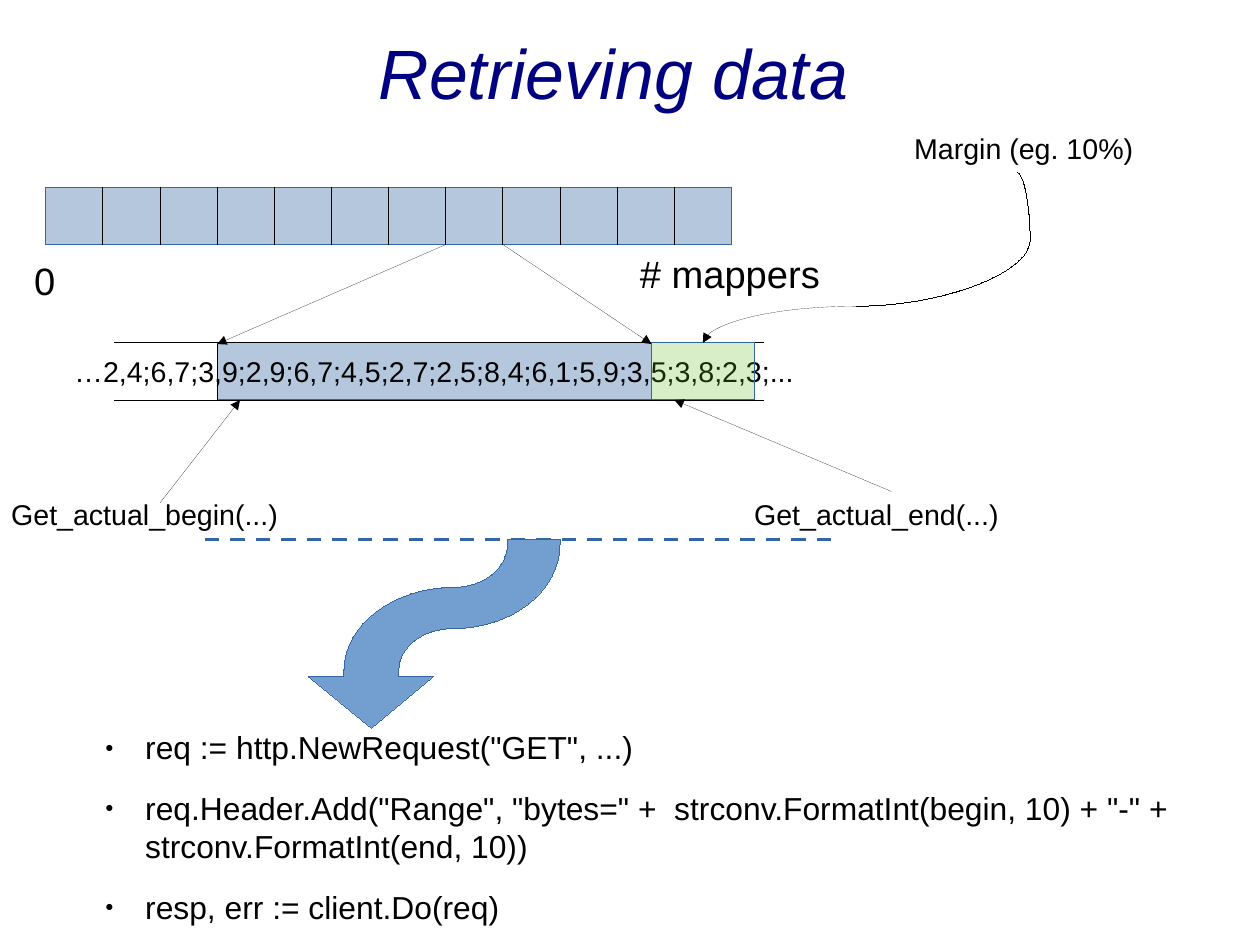
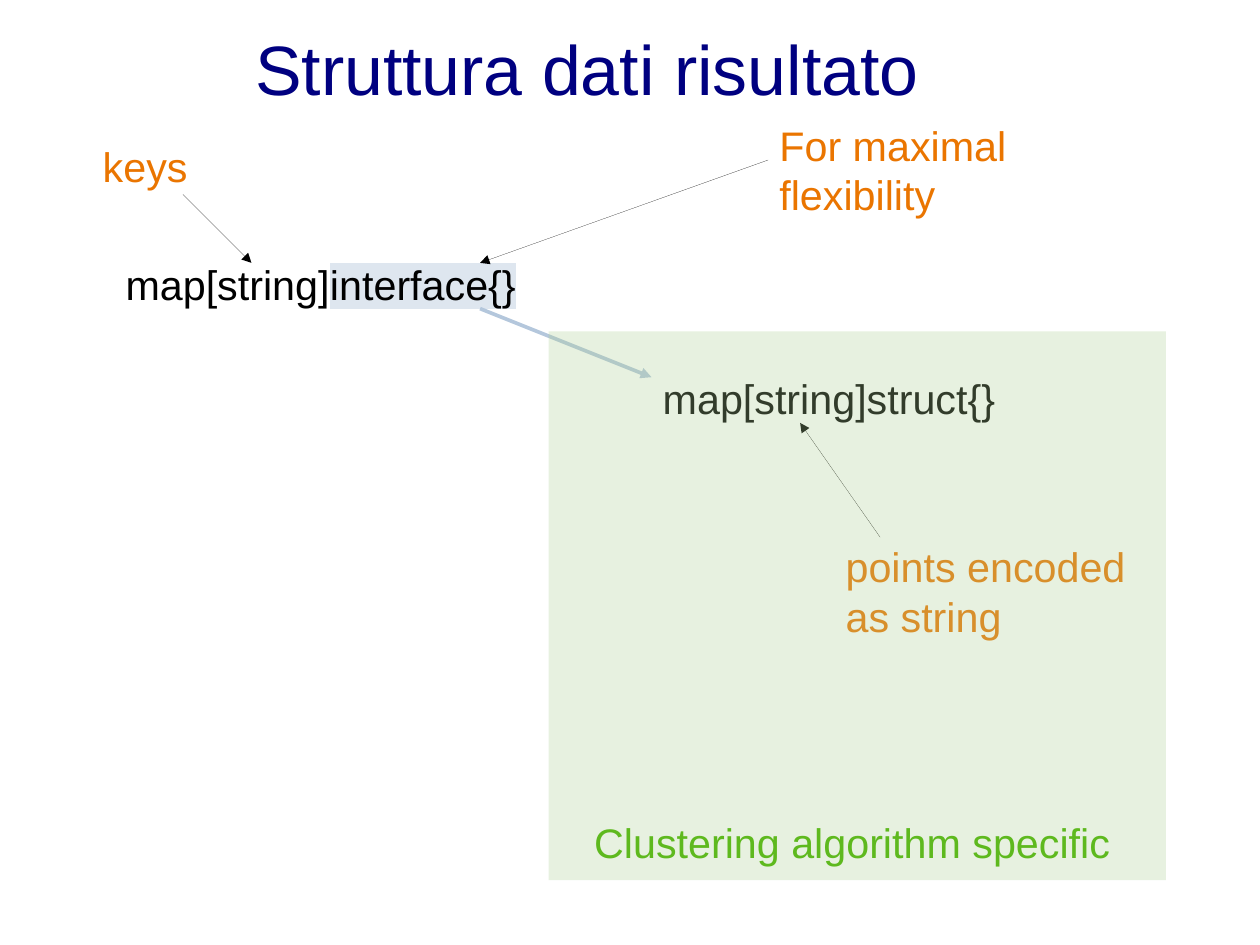
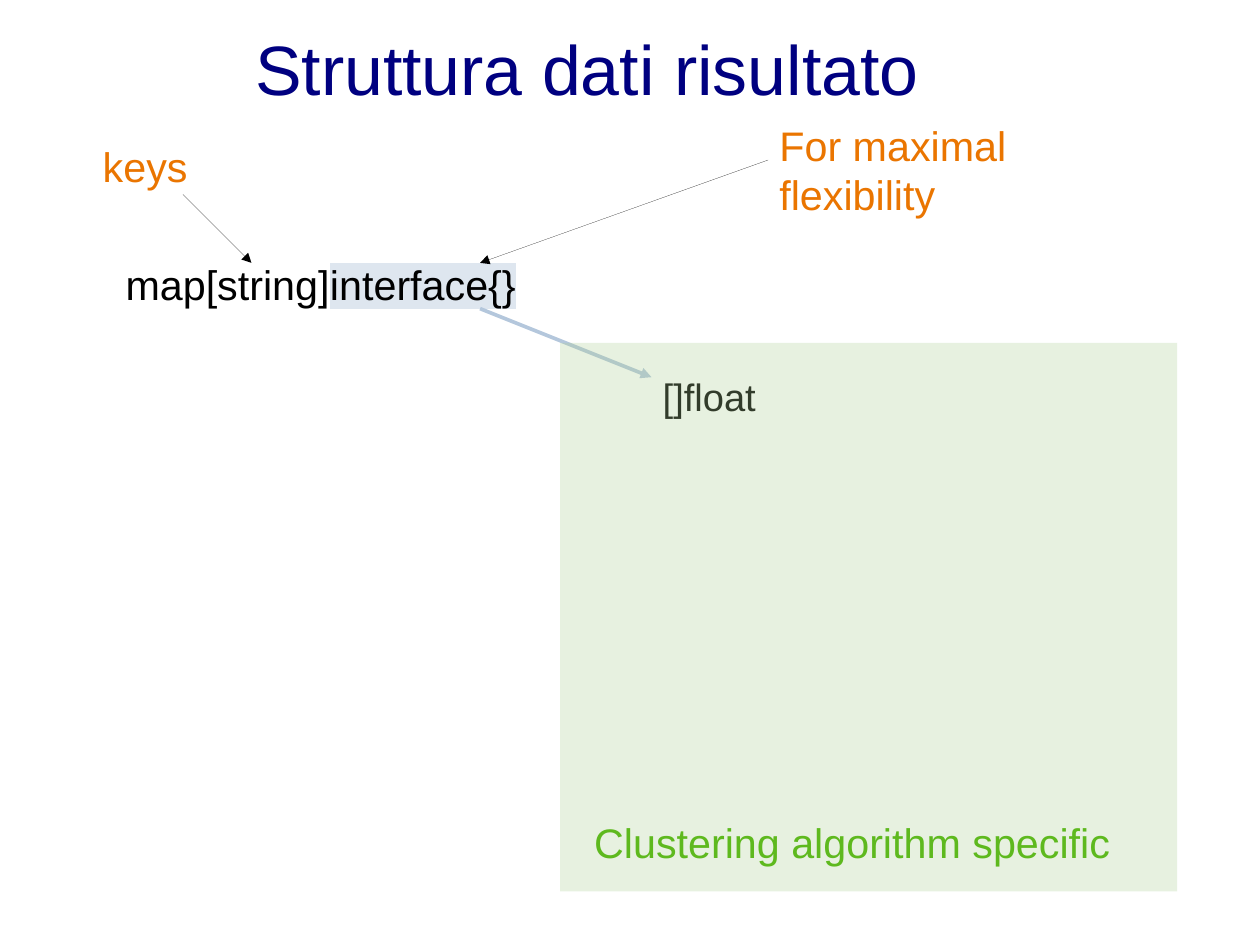
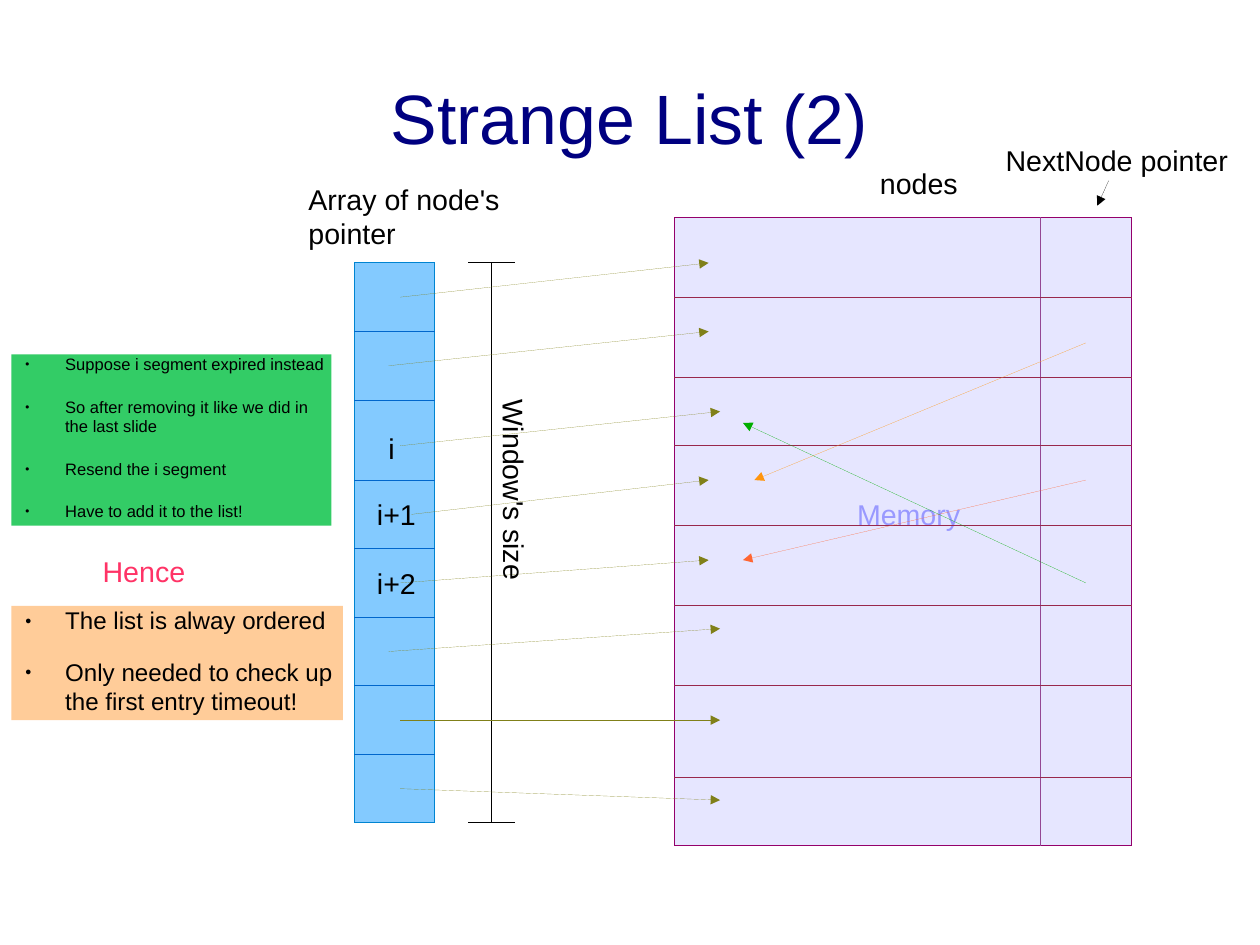
"""Build four slides on data retrieval, result structures and a linked list."""
from dataclasses import dataclass
from typing import Any, Optional

from lxml import etree
from pptx import Presentation
from pptx import util as u
from pptx.dml.color import RGBColor
from pptx.enum import dml, shapes, text
from pptx.oxml import ns

FONT = "Arial"
BLACK, NAVY, ORANGE, GREEN = "000000", "000080", "EA7500", "5EB91E"
PALE_BLUE, STEEL, HIGHLIGHT = "B4C7DC", "3465A4", "DEE6EF"
OLIVE, ROW_LINE = "808019", "99284C"


@dataclass(frozen=True)
class Box:
    """A rectangle in inches."""

    left: float
    top: float
    width: float
    height: float

    def lengths(self) -> tuple:
        """Return the four values as lengths."""
        return tuple(u.Inches(v) for v in (self.left, self.top, self.width, self.height))


@dataclass(frozen=True)
class Label:
    """A text box with its format."""

    words: str
    box: Box
    size: float = 18
    color: str = BLACK
    rotation: float = 0


@dataclass(frozen=True)
class Stroke:
    """A connector from one point to another."""

    x1: float
    y1: float
    x2: float
    y2: float
    color: str = BLACK
    width: float = 0
    arrow: bool = False
    dashed: bool = False
    curve: Optional[str] = None
    bend: Optional[int] = None


def rgb(value: str) -> RGBColor:
    """Turn a hex string into a colour."""
    return RGBColor.from_string(value)


def child(parent: Any, tag: str, **attributes: str) -> Any:
    """Append a DrawingML element."""
    return etree.SubElement(parent, ns.qn(f"a:{tag}"), attributes)


def write(paragraph: Any, words: str, *, size: float = 18, color: str = BLACK,
          italic: Optional[bool] = None, highlight: Optional[str] = None) -> None:
    """Add a formatted run to a paragraph."""
    run = paragraph.add_run()
    run.text = words
    run.font.size = u.Pt(size)
    run.font.italic = italic
    run.font.color.rgb = rgb(color)
    if highlight:
        child(child(run.font._element, "highlight"), "srgbClr", val=highlight)
    run.font.name = FONT


def place(shape: Any, box: Box) -> None:
    """Move and size a shape."""
    shape.left, shape.top, shape.width, shape.height = box.lengths()


def clear_margins(frame: Any) -> None:
    """Remove the insets and fitting of a text frame."""
    frame.margin_left = frame.margin_right = frame.margin_top = frame.margin_bottom = 0
    frame.auto_size = text.MSO_AUTO_SIZE.NONE
    frame.word_wrap = True


def add_slide(presentation: Any, layout: int, title: str, left: float, top: float,
              italic: Optional[bool] = None) -> Any:
    """Add a slide with the shared title style."""
    slide = presentation.slides.add_slide(presentation.slide_layouts[layout])
    place(slide.shapes.title, Box(left, top, 9.92, 1.38))
    frame = slide.shapes.title.text_frame
    clear_margins(frame)
    frame.vertical_anchor = text.MSO_ANCHOR.MIDDLE
    frame.paragraphs[0].alignment = text.PP_ALIGN.CENTER
    write(frame.paragraphs[0], title, size=44, color=NAVY, italic=italic)
    return slide


def fill_list(shape: Any, box: Box, items: list[str], size: float,
              color: Optional[str] = None) -> None:
    """Fill a body placeholder with a bulleted list."""
    place(shape, box)
    if color:
        shape.fill.solid()
        shape.fill.fore_color.rgb = rgb(color)
    frame = shape.text_frame
    clear_margins(frame)
    frame.vertical_anchor = text.MSO_ANCHOR.TOP
    for index, item in enumerate(items):
        paragraph = frame.add_paragraph() if index else frame.paragraphs[0]
        paragraph.space_before, paragraph.space_after = u.Pt(0), u.Pt(14.2)
        properties = paragraph._p.get_or_add_pPr()
        properties.set("marL", str(u.Inches(0.47)))
        properties.set("indent", str(u.Inches(-0.35)))
        child(child(properties, "buClr"), "srgbClr", val=BLACK)
        child(properties, "buSzPct", val="45000")
        child(properties, "buFont", typeface=FONT)
        child(properties, "buChar", char="●")
        write(paragraph, item, size=size)


def add_label(slide: Any, label: Label) -> Any:
    """Draw a text box."""
    shape = slide.shapes.add_textbox(*label.box.lengths())
    shape.rotation = label.rotation
    frame = shape.text_frame
    frame.word_wrap = True
    frame.auto_size = text.MSO_AUTO_SIZE.SHAPE_TO_FIT_TEXT
    if label.words:
        write(frame.paragraphs[0], label.words, size=label.size, color=label.color)
    return shape


def set_line(shape: Any, color: str, width: float = 0) -> Any:
    """Colour an outline, keep a zero width explicit and return its element."""
    shape.line.color.rgb = rgb(color)
    outline = shape._element.spPr.find(ns.qn("a:ln"))
    outline.set("w", str(u.Pt(width)))
    return outline


def paint(shape: Any, fill: str, line: Optional[str] = None,
          opacity: Optional[int] = None) -> None:
    """Set the fill, outline and opacity of a shape."""
    shape.shadow.inherit = False
    shape.fill.solid()
    shape.fill.fore_color.rgb = rgb(fill)
    if opacity is not None:
        solid = shape._element.spPr.find(ns.qn("a:solidFill"))
        child(solid[0], "alpha", val=str(opacity * 1000))
    if line:
        set_line(shape, line)
    else:
        shape.line.fill.background()


def add_rectangle(slide: Any, box: Box, fill: str, line: Optional[str] = None,
                  opacity: Optional[int] = None) -> Any:
    """Draw a rectangle."""
    shape = slide.shapes.add_shape(shapes.MSO_SHAPE.RECTANGLE, *box.lengths())
    paint(shape, fill, line, opacity)
    return shape


def add_stroke(slide: Any, stroke: Stroke) -> Any:
    """Draw a line, an arrow or a curve."""
    kind = shapes.MSO_CONNECTOR.CURVE if stroke.curve else shapes.MSO_CONNECTOR.STRAIGHT
    ends = (u.Inches(v) for v in (stroke.x1, stroke.y1, stroke.x2, stroke.y2))
    connector = slide.shapes.add_connector(kind, *ends)
    connector._element.remove(connector._element.find(ns.qn("p:style")))
    outline = set_line(connector, stroke.color, stroke.width)
    if stroke.dashed:
        connector.line.dash_style = dml.MSO_LINE.DASH
    properties = connector._element.spPr
    if stroke.arrow:
        child(outline, "tailEnd", type="triangle")
    child(properties, "effectLst")
    if stroke.curve:
        geometry = properties.find(ns.qn("a:prstGeom"))
        geometry.set("prst", stroke.curve)
        if stroke.bend is not None:
            guides = geometry.find(ns.qn("a:avLst"))
            if guides is None:
                guides = child(geometry, "avLst")
            child(guides, "gd", name="adj1", fmla=f"val {stroke.bend}")
    return connector


def bezier(start: tuple, first: tuple, second: tuple, end: tuple, steps: int = 16) -> list:
    """Return points along a cubic curve, without its start."""
    points = []
    for step in range(1, steps + 1):
        t = step / steps
        weights = ((1 - t) ** 3, 3 * t * (1 - t) ** 2, 3 * t * t * (1 - t), t ** 3)
        corners = (start, first, second, end)
        points.append(tuple(sum(w * c[axis] for w, c in zip(weights, corners))
                            for axis in (0, 1)))
    return points


def add_bent_arrow(slide: Any) -> None:
    """Draw the curved block arrow that leads to the request code."""
    outline = [
        *bezier((3.01, 5.86), (3.01, 5.46), (3.45, 5.14), (3.96, 5.14)),
        *bezier((3.96, 5.14), (4.23, 5.14), (4.44, 4.97), (4.44, 4.76)),
        (4.44, 4.72), (4.9, 4.72), (4.9, 4.76),
        *bezier((4.9, 4.76), (4.9, 5.17), (4.48, 5.5), (3.96, 5.5)),
        *bezier((3.96, 5.5), (3.7, 5.5), (3.49, 5.66), (3.49, 5.86)),
        (3.49, 5.92), (3.79, 5.92), (3.25, 6.37), (2.7, 5.92), (3.01, 5.92),
    ]
    builder = slide.shapes.build_freeform(u.Inches(3.01), u.Inches(5.86))
    builder.add_line_segments([(u.Inches(x), u.Inches(y)) for x, y in outline], close=True)
    paint(builder.convert_to_shape(), "729FCF", STEEL)


def build_retrieval(presentation: Any) -> None:
    """Build the slide on reading a byte range."""
    slide = add_slide(presentation, 1, "Retrieving data", 0.41, -0.06, italic=True)
    fill_list(slide.placeholders[1], Box(0.8, 6.37, 10.8, 1.53), [
        'req := http.NewRequest("GET", ...)',
        'req.Header.Add("Range", "bytes=" +  strconv.FormatInt(begin, 10) + "-" + '
        'strconv.FormatInt(end, 10))',
        'resp, err := client.Do(req)',
    ], 20)
    add_rectangle(slide, Box(0.4, 1.64, 6, 0.5), PALE_BLUE, STEEL)
    for index in range(1, 12):
        x = 0.4 + 0.5 * index
        add_stroke(slide, Stroke(x, 1.64, x, 2.14))

    segment = add_rectangle(slide, Box(1.9, 3, 3.8, 0.5), PALE_BLUE, STEEL)
    frame = segment.text_frame
    frame.word_wrap = False
    frame.vertical_anchor = text.MSO_ANCHOR.MIDDLE
    frame.paragraphs[0].alignment = text.PP_ALIGN.CENTER
    write(frame.paragraphs[0],
          "…2,4;6,7;3,9;2,9;6,7;4,5;2,7;2,5;8,4;6,1;5,9;3,5;3,8;2,3;...")
    for x in (1.9, 5.7):
        add_stroke(slide, Stroke(x, 3.01, x, 3.51, width=0.5))
    for y in (3, 3.5):
        add_stroke(slide, Stroke(1, y, 6.68, y, width=0.5))
    add_rectangle(slide, Box(5.7, 3, 0.9, 0.5), GREEN, STEEL, opacity=24)

    for label in (
        Label("0", Box(0.2, 2.2, 0.6, 0.6), 24),
        Label("# mappers", Box(5.5, 2.14, 1.8, 1.21), 24),
        Label("Get_actual_begin(...)", Box(0, 4.3, 2.6, 0.66)),
        Label("Margin (eg. 10%)", Box(7.9, 1.1, 2.6, 0.66)),
    ):
        add_label(slide, label)
    end_label = add_label(slide, Label("Get_actual_end(...)", Box(6.5, 4.3, 2.6, 0.66)))
    end_arrow = add_stroke(slide, Stroke(7.8, 4.3, 5.9, 3.5, arrow=True))
    end_arrow.begin_connect(end_label, 0)
    for stroke in (
        Stroke(3.9, 2.14, 1.9, 3.01, arrow=True),
        Stroke(4.4, 2.14, 5.7, 3.01, arrow=True),
        Stroke(1.4, 4.4, 2.1, 3.5, arrow=True),
        Stroke(7.49, 2.68, 8.9, 1.51, curve="curvedConnector3", bend=108000),
        Stroke(7.49, 2.68, 6.15, 3, arrow=True, curve="curvedConnector2"),
        Stroke(1.79, 4.72, 7.29, 4.72, STEEL, 2.3, dashed=True),
    ):
        add_stroke(slide, stroke)
    add_bent_arrow(slide)


def build_result(presentation: Any, value: Label, panel: Box,
                 note: Optional[Label] = None) -> None:
    """Build a slide on the result map and its value type."""
    slide = add_slide(presentation, 5, "Struttura dati risultato", 0.18, -0.1)
    declaration = add_label(slide, Label("", Box(1, 2.22, 4.1, 0.58)))
    paragraph = declaration.text_frame.paragraphs[0]
    write(paragraph, "map[string]", size=26)
    write(paragraph, "interface{}", size=26, highlight=HIGHLIGHT)
    add_label(slide, Label("For maximal flexibility", Box(6.72, 1, 2.48, 0.91), 26, ORANGE))
    add_label(slide, Label("keys", Box(0.8, 1.19, 1.48, 0.61), 26, ORANGE))
    add_label(slide, value)
    for stroke in (
        Stroke(6.72, 1.4, 4.2, 2.3, arrow=True),
        Stroke(1.6, 1.7, 2.2, 2.3, arrow=True),
        Stroke(4.2, 2.7, 5.7, 3.3, PALE_BLUE, 2.3, arrow=True),
    ):
        add_stroke(slide, stroke)
    if note:
        add_label(slide, note)
        add_stroke(slide, Stroke(7.7, 4.7, 7, 3.7, arrow=True))
    add_rectangle(slide, panel, "AFD095", opacity=29)
    add_label(slide, Label("Clustering algorithm specific", Box(5.1, 7.1, 5.1, 0.81), 26, GREEN))


def build_strange_list(presentation: Any) -> None:
    """Build the slide on the ordered linked list."""
    slide = add_slide(presentation, 3, "Strange List (2)", 0.55, 0.33)
    fill_list(slide.placeholders[1], Box(0.1, 3.1, 2.8, 1.5), [
        "Suppose i segment expired instead",
        "So after removing it like we did in the last slide",
        "Resend the i segment",
        "Have to add it to the list!",
    ], 10.4, "33CC66")
    fill_list(slide.placeholders[2], Box(0.1, 5.3, 2.9, 1), [
        "The list is alway ordered",
        "Only needed to check up the first entry timeout!",
    ], 15.2, "FFCC99")

    add_rectangle(slide, Box(3.1, 2.3, 0.7, 4.9), "83CAFF", "0084D1")
    for y in (2.9, 3.5, 4.2, 4.8, 5.4, 6, 6.6):
        add_stroke(slide, Stroke(3.1, y, 3.8, y, "0066CC"))
    add_stroke(slide, Stroke(4.3, 2.3, 4.3, 7.2))
    for y in (2.3, 7.2):
        add_stroke(slide, Stroke(4.1, y, 4.5, y))

    add_rectangle(slide, Box(5.9, 1.9, 4, 5.5), "E6E6FF", "94006B")
    add_label(slide, Label("Memory", Box(7.4, 4.3, 1.2, 0.38), color="9999FF"))
    for x1, y1, x2, y2 in (
        (3.5, 2.6, 6.2, 2.3), (3.4, 3.2, 6.2, 2.9), (3.5, 3.9, 6.3, 3.6),
        (3.6, 4.5, 6.2, 4.2), (3.5, 5.1, 6.2, 4.9), (3.4, 5.7, 6.3, 5.5),
        (3.5, 6.3, 6.3, 6.3), (3.5, 6.9, 6.3, 7),
    ):
        add_stroke(slide, Stroke(x1, y1, x2, y2, OLIVE, arrow=True))
    add_stroke(slide, Stroke(9.1, 1.9, 9.1, 7.4, "944794"))
    for y in (2.6, 3.3, 3.9, 4.6, 5.3, 6, 6.8):
        add_stroke(slide, Stroke(5.9, y, 9.9, y, ROW_LINE))
    for stroke in (
        Stroke(9.7, 1.58, 9.6, 1.8, arrow=True),
        Stroke(9.5, 3, 6.6, 4.2, "FF950E", arrow=True),
        Stroke(9.5, 4.2, 6.5, 4.9, "FF6633", arrow=True),
        Stroke(9.5, 5.1, 6.5, 3.7, "00AE00", arrow=True),
    ):
        add_stroke(slide, stroke)
    for label in (
        Label("Array of node's pointer", Box(2.6, 1.54, 1.9, 0.66)),
        Label("Window's size", Box(3.56, 4.16, 1.9, 0.38), rotation=89.8),
        Label("nodes", Box(7.6, 1.4, 1, 0.38)),
        Label("NextNode pointer", Box(8.7, 1.2, 2.2, 0.38)),
        Label("i", Box(3.3, 3.72, 0.3, 0.38)),
        Label("i+1", Box(3.2, 4.3, 0.6, 0.4)),
        Label("i+2", Box(3.2, 4.9, 0.6, 0.4)),
        Label("Hence", Box(0.8, 4.8, 1, 0.38), color="FF3366"),
    ):
        add_label(slide, label)


def main() -> None:
    """Build and save the presentation."""
    presentation = Presentation()
    presentation.slide_width = u.Cm(28)
    presentation.slide_height = u.Cm(21)
    build_retrieval(presentation)
    value_box = Box(5.7, 3.22, 4.1, 0.58)
    build_result(presentation, Label("map[string]struct{}", value_box, 26),
                 Box(4.8, 2.9, 5.4, 4.8),
                 Label("points encoded as string", Box(7.3, 4.69, 2.9, 1.51), 26, ORANGE))
    build_result(presentation, Label("[]float", value_box, 24), Box(4.9, 3, 5.4, 4.8))
    build_strange_list(presentation)
    presentation.save("out.pptx")


if __name__ == "__main__":
    main()
